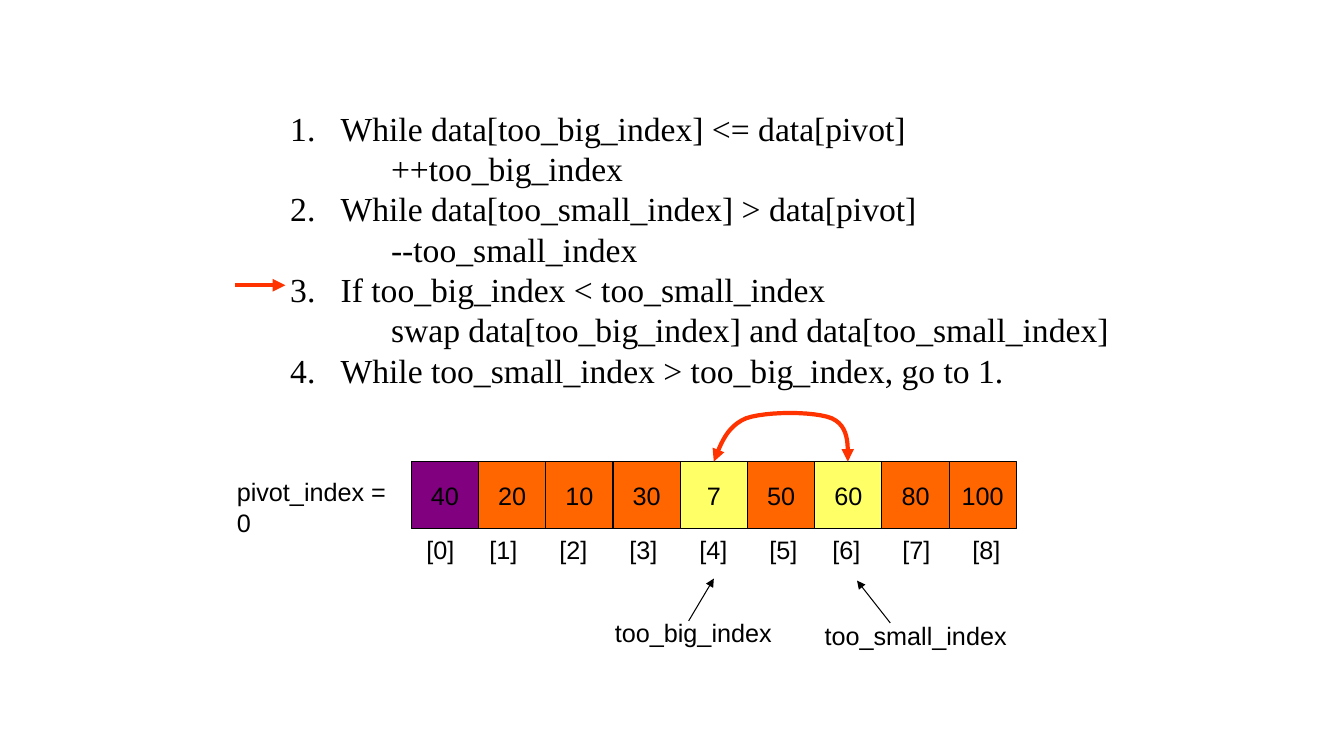
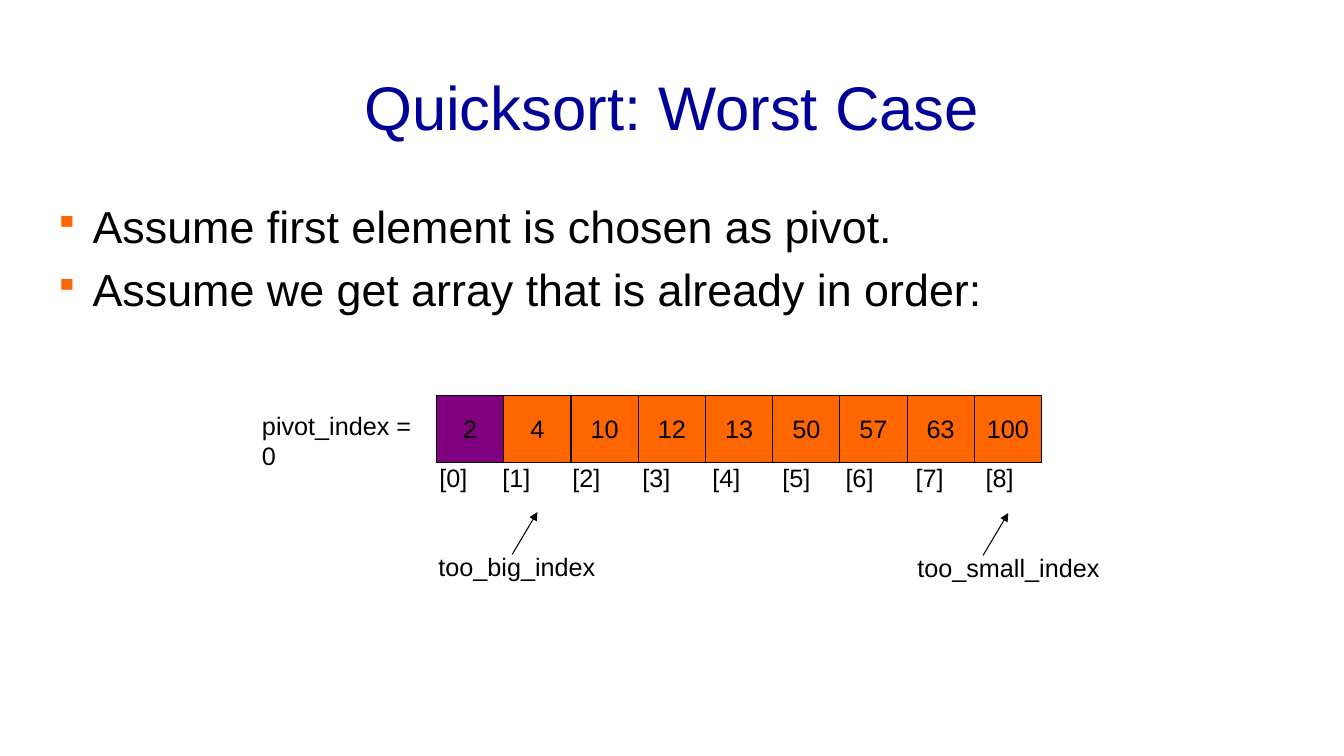
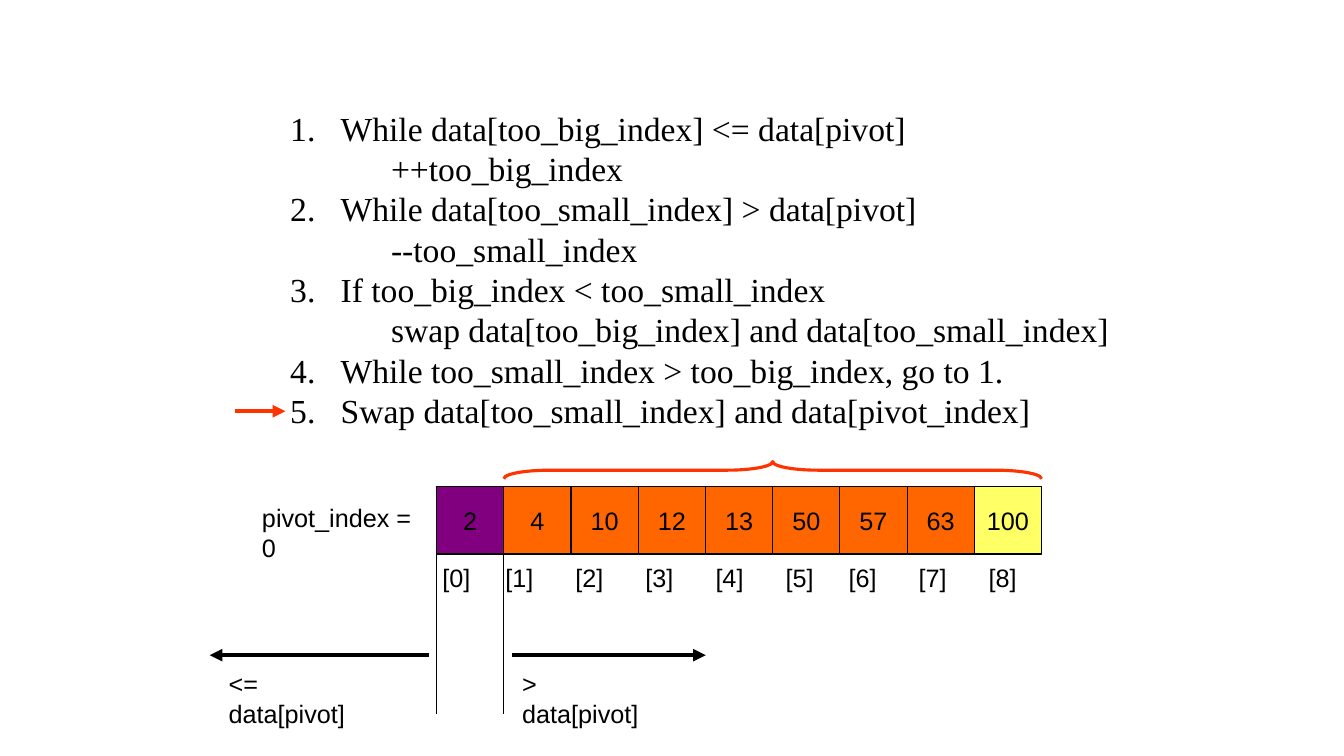
import itertools

import pptx
import pptx.dml.color
import pptx.enum.shapes
import pptx.enum.text
import pptx.oxml
import pptx.oxml.ns
import pptx.util

Inches = pptx.util.Inches
Pt = pptx.util.Pt
MSO_SHAPE = pptx.enum.shapes.MSO_SHAPE
ALIGN = pptx.enum.text.PP_ALIGN
ANCHOR = pptx.enum.text.MSO_ANCHOR

BLACK, NAVY, RED = "000000", "000099", "FF3300"
ORANGE, PURPLE, YELLOW = "FF6600", "800080", "FFFF66"
SANS, SERIF = "Arial", "Times New Roman"
CELL = 2 / 3

# Each step: the numbered line, then an indented line or None
STEPS = [
    ("While data[too_big_index] <= data[pivot]", "++too_big_index"),
    ("While data[too_small_index] > data[pivot]", "--too_small_index"),
    ("If too_big_index < too_small_index",
     "swap data[too_big_index] and data[too_small_index]"),
    ("While too_small_index > too_big_index, go to 1.", None),
    ("Swap data[too_small_index] and data[pivot_index]", None),
]
SORTED_VALUES = [2, 4, 10, 12, 13, 50, 57, 63, 100]
# Distances between neighbouring index labels, in points
LABEL_STEPS = [45, 50, 50, 50, 50, 45, 50, 50]


def color(value):
    return pptx.dml.color.RGBColor.from_string(value)


def append_xml(parent, tag, content="", **attributes):
    """Append a DrawingML element to parent."""
    listed = "".join(f' {name}="{value}"' for name, value in attributes.items())
    namespace = pptx.oxml.ns.nsdecls("a")
    parent.append(pptx.oxml.parse_xml(
        f"<a:{tag} {namespace}{listed}>{content}</a:{tag}>"))


def bezier_points(start, curves, steps=12):
    """Yield points along a chain of cubic curves."""
    for first, second, end in curves:
        for step in range(1, steps + 1):
            t = step / steps
            weights = ((1 - t) ** 3, 3 * t * (1 - t) ** 2,
                       3 * t * t * (1 - t), t ** 3)
            corners = (start, first, second, end)
            yield tuple(sum(w * corner[axis] for w, corner in zip(weights, corners))
                        for axis in (0, 1))
        start = end


class Deck:
    """Holds the presentation, its style and the current slide."""

    def __init__(self):
        self.presentation = pptx.Presentation()
        self.presentation.slide_width = Inches(13.33)
        self.presentation.slide_height = Inches(7.5)
        self.slide = None

    def new_slide(self):
        layout = self.presentation.slide_layouts[6]
        self.slide = self.presentation.slides.add_slide(layout)

    def run(self, paragraph, text, size=18, font=SANS, ink=BLACK):
        run = paragraph.add_run()
        run.text = text
        run.font.size = Pt(size)
        run.font.name = font
        run.font.color.rgb = color(ink)

    def text_frame(self, left, top, width, height):
        box = self.slide.shapes.add_textbox(
            Inches(left), Inches(top), Inches(width), Inches(height))
        box.text_frame.word_wrap = True
        return box.text_frame

    def paragraph(self, frame, line_height=None, margin=0, indent=0):
        """Return the empty first paragraph or a new one."""
        paragraph = frame.paragraphs[0]
        if paragraph.runs:
            paragraph = frame.add_paragraph()
        if line_height:
            paragraph.line_spacing = Pt(line_height)
        properties = paragraph._p.get_or_add_pPr()
        properties.set("marL", str(Inches(margin)))
        properties.set("indent", str(Inches(indent)))
        return paragraph

    def label(self, text, left, top, width):
        frame = self.text_frame(left, top, width, 0.4)
        self.run(self.paragraph(frame, 21.6), text)

    def title(self, text):
        frame = self.text_frame(0.44, 0.42, 12.45, 1.25)
        frame.vertical_anchor = ANCHOR.MIDDLE
        paragraph = self.paragraph(frame)
        paragraph.alignment = ALIGN.CENTER
        self.run(paragraph, text, 44, ink=NAVY)

    def bullets(self, lines):
        frame = self.text_frame(0.44, 1.92, 12.45, 1.5)
        for line in lines:
            paragraph = self.paragraph(frame, margin=0.38, indent=-0.38)
            paragraph.space_before = Pt(6.4)
            properties = paragraph._p.get_or_add_pPr()
            append_xml(properties, "buClr", f'<a:srgbClr val="{ORANGE}"/>')
            append_xml(properties, "buSzPct", val=75000)
            append_xml(properties, "buChar", char="▪")
            self.run(paragraph, line, 32)

    def steps(self, count):
        frame = self.text_frame(2.78, 1.02, 8.39, 4.14)
        for number, (line, action) in enumerate(STEPS[:count], 1):
            paragraph = self.paragraph(frame, 28.8, 0.5, -0.5)
            append_xml(paragraph._p.get_or_add_pPr(), "buAutoNum",
                       type="arabicPeriod", startAt=number)
            self.run(paragraph, line, 24, SERIF)
            if action:
                self.run(self.paragraph(frame, 28.8, 1), action, 24, SERIF)

    def style_line(self, shape, ink, weight, ends=()):
        shape.line.color.rgb = color(ink)
        shape.line.width = Pt(weight)
        for end in ends:
            append_xml(shape.line._get_or_add_ln(), end, type="triangle")

    def line(self, start, end, ink=BLACK, weight=0.75, arrow=True):
        connector = self.slide.shapes.add_connector(
            pptx.enum.shapes.MSO_CONNECTOR.STRAIGHT,
            *(Inches(value) for value in (*start, *end)))
        self.style_line(connector, ink, weight, ["tailEnd"] if arrow else [])
        append_xml(connector._element.spPr, "effectLst")

    def step_marker(self, top):
        self.line((2.33, top), (2.83, top), RED, 3)

    def cell(self, value, left, top, fill):
        shape = self.slide.shapes.add_shape(
            MSO_SHAPE.RECTANGLE, Inches(left), Inches(top), Inches(CELL), Inches(CELL))
        shape.shadow.inherit = False
        shape.fill.solid()
        shape.fill.fore_color.rgb = color(fill)
        self.style_line(shape, BLACK, 0.75)
        frame = shape.text_frame
        frame.word_wrap = False
        frame.vertical_anchor = ANCHOR.MIDDLE
        paragraph = self.paragraph(frame)
        paragraph.alignment = ALIGN.CENTER
        self.run(paragraph, str(value))

    def array(self, values, left, top, labels_at, highlighted=()):
        """Draw the cells, the pivot label and the row of index labels."""
        for index, value in enumerate(values):
            fill = YELLOW if index in highlighted else ORANGE
            self.cell(value, left + index * CELL, top, fill if index else PURPLE)
        self.label("pivot_index = 0", left - 1.83, top + 0.1, 1.79)
        label_left, label_top = labels_at
        offsets = itertools.accumulate(LABEL_STEPS, initial=0)
        for index, offset in enumerate(offsets):
            self.label(f"[{index}]", label_left + offset / 72, label_top, 0.6)

    def pointer(self, text, left, top, stem=0.83, lean=0.25):
        """Label an index with an arrow that rises from the text."""
        self.label(text, left, top, 2.33)
        start = (left + stem, top + 0.08)
        self.line(start, (start[0] + lean, start[1] - 0.42))

    def swap_arrow(self, start, curves):
        builder = self.slide.shapes.build_freeform(
            Inches(start[0]), Inches(start[1]))
        builder.add_line_segments(
            [(Inches(x), Inches(y)) for x, y in bezier_points(start, curves)],
            close=False)
        shape = builder.convert_to_shape()
        shape.shadow.inherit = False
        shape.fill.background()
        self.style_line(shape, RED, 3, ["headEnd", "tailEnd"])

    def brace_above(self, left, top, width, height):
        shape = self.slide.shapes.add_shape(
            MSO_SHAPE.LEFT_BRACE, Inches(left + (width - height) / 2),
            Inches(top + (height - width) / 2), Inches(height), Inches(width))
        shape.rotation = 90
        shape.adjustments[0] = 2.67
        shape.shadow.inherit = False
        shape.fill.background()
        self.style_line(shape, RED, 2.25)


def swap_slide(deck):
    deck.new_slide()
    deck.steps(4)
    deck.array([40, 20, 10, 30, 7, 50, 60, 80, 100], 4.08, 4.58,
               (4.13, 5.25), highlighted=(4, 6))
    deck.pointer("too_big_index", 6, 6.08)
    deck.pointer("too_small_index", 8.08, 6.1, 0.75, -0.33)
    deck.step_marker(2.83)
    deck.swap_arrow((7.08, 4.58), [
        ((7.15, 4.4), (7.21, 4.23), (7.4, 4.15)),
        ((7.6, 4.08), (8.08, 4.08), (8.25, 4.15)),
        ((8.42, 4.23), (8.41, 4.4), (8.41, 4.58)),
    ])


def worst_case_slide(deck):
    deck.new_slide()
    deck.title("Quicksort: Worst Case")
    deck.bullets(["Assume first element is chosen as pivot.",
                  "Assume we get array that is already in order:"])
    deck.array(SORTED_VALUES, 4.33, 3.92, (4.26, 4.54))
    deck.pointer("too_big_index", 4.25, 5.42)
    deck.pointer("too_small_index", 9, 5.43, 0.75)


def partition_slide(deck):
    left, top = 4.33, 4.83
    deck.new_slide()
    deck.steps(5)
    deck.step_marker(4.08)
    deck.array(SORTED_VALUES, left, top, (4.29, 5.53), highlighted=(8,))
    deck.brace_above(left + CELL, 4.58, 8 * CELL, 0.17)
    for edge in (left, left + CELL):
        deck.line((edge, top), (edge, 7.08), arrow=False)
    deck.line((4.25, 6.5), (2.08, 6.5), weight=3)
    deck.line((5.08, 6.5), (7, 6.5), weight=3)
    deck.label("<= data[pivot]", 2.17, 6.58, 1.64)
    deck.label("> data[pivot]", 5.08, 6.58, 1.51)


def main():
    deck = Deck()
    swap_slide(deck)
    worst_case_slide(deck)
    partition_slide(deck)
    deck.presentation.save("out.pptx")


if __name__ == "__main__":
    main()
